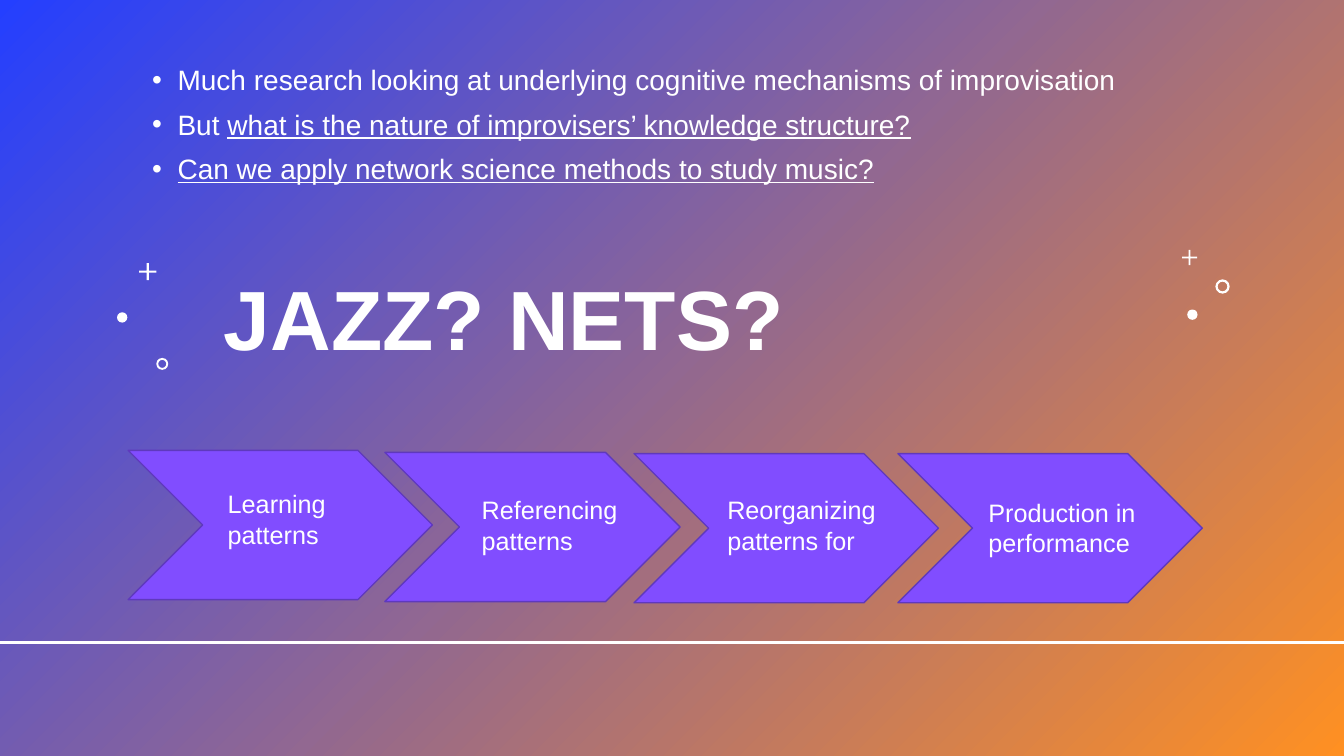
from pptx import Presentation
from pptx.dml.color import RGBColor
from pptx.enum.shapes import MSO_CONNECTOR, MSO_SHAPE
from pptx.enum.text import MSO_ANCHOR, MSO_AUTO_SIZE, PP_ALIGN
from pptx.oxml.ns import qn
from pptx.util import Cm, Pt
from lxml.etree import SubElement

COLORS = {
    "blue": "243FFF",
    "orange": "FF9022",
    "violet": "814DFF",
    "edge": "5F39BD",
    "white": "FFFFFF",
}
WIDE, HIGH = 33.87, 19.05

# Each point is a list of (text, underlined) runs.
POINTS = [
    [("Much research looking at underlying cognitive mechanisms of improvisation", False)],
    [("But ", False),
     ("what is the nature of improvisers’ knowledge structure?", True)],
    [("Can we apply network science methods to study music?", True)],
]

# Chevron left, top, width; label text, left, top, width.
STEPS = [
    (3.23, 11.35, 7.67, "Learning patterns", 5.49, 12.19, 3.66),
    (9.7, 11.4, 7.44, "Referencing patterns", 11.89, 12.34, 4.42),
    (15.98, 11.43, 7.67, "Reorganizing patterns for", 18.08, 12.34, 4.75),
    (22.63, 11.43, 7.67, "Production in performance", 24.66, 12.4, 4.6),
]

# Preset shape, its adjustment, left, top, size.
SPARKS = [
    (MSO_SHAPE.CROSS, 0.44, 3.51, 6.63, 0.43),
    (MSO_SHAPE.CROSS, 0.44, 29.79, 6.3, 0.38),
    (MSO_SHAPE.DONUT, 0.16, 30.63, 7.04, 0.36),
    (MSO_SHAPE.DONUT, 0.16, 3.94, 9.02, 0.3),
    (MSO_SHAPE.OVAL, None, 2.95, 7.87, 0.26),
    (MSO_SHAPE.OVAL, None, 29.92, 7.8, 0.26),
]


def color(name):
    return RGBColor.from_string(COLORS[name])


def place(shape, left, top, width, height):
    shape.left, shape.top = Cm(left), Cm(top)
    shape.width, shape.height = Cm(width), Cm(height)


def style(para, size, bold=False):
    font = para.font
    font.name, font.size, font.bold = "Arial", Pt(size), bold
    font.color.rgb = color("white")


def add_shape(slide, kind, left, top, width, height, fill=None, edge=None):
    shape = slide.shapes.add_shape(kind, Cm(left), Cm(top), Cm(width), Cm(height))
    shape.shadow.inherit = False
    if fill:
        shape.fill.solid()
        shape.fill.fore_color.rgb = color(fill)
    if edge:
        shape.line.color.rgb = color(edge)
        shape.line.width = Pt(1)
    else:
        shape.line.fill.background()
    return shape


def add_back(slide):
    """Cover the slide with a diagonal gradient, behind everything else."""
    back = add_shape(slide, MSO_SHAPE.RECTANGLE, 0, 0, WIDE, HIGH)
    back.fill.gradient()
    back.fill.gradient_angle = 315
    for stop, name, pos in zip(back.fill.gradient_stops, ("blue", "orange"), (0, 1)):
        stop.color.rgb = color(name)
        stop.position = pos
    slide.shapes._spTree.insert(2, back._element)


def fill_title(title):
    place(title, 0, 2.92, 25.4, 6.5)
    frame = title.text_frame
    frame.text = "JAZZ? NETS?"
    frame.auto_size = MSO_AUTO_SIZE.NONE
    frame.vertical_anchor = MSO_ANCHOR.BOTTOM
    para = frame.paragraphs[0]
    para.alignment = PP_ALIGN.CENTER
    para.line_spacing = 0.9
    style(para, 60, bold=True)


def add_bullet(para):
    props = para._p.get_or_add_pPr()
    props.set("marL", str(Cm(0.64)))
    props.set("indent", str(-Cm(0.64)))
    SubElement(props, qn("a:buFont"), typeface="Arial")
    SubElement(props, qn("a:buChar"), char="•")


def fill_body(body):
    place(body, 3.58, 1.55, 27.38, 3.68)
    frame = body.text_frame
    frame.auto_size = MSO_AUTO_SIZE.NONE
    for i, point in enumerate(POINTS):
        para = frame.add_paragraph() if i else frame.paragraphs[0]
        add_bullet(para)
        para.line_spacing = 0.9
        para.space_before = Pt(10 if i else 0)
        style(para, 20)
        for text, under in point:
            run = para.add_run()
            run.text = text
            if under:
                run.font.underline = True


def add_spark(slide, kind, adjust, left, top, size):
    spark = add_shape(slide, kind, left, top, size, size, "white")
    if adjust is not None:
        spark.adjustments[0] = adjust


def add_rule(slide, top):
    rule = slide.shapes.add_connector(
        MSO_CONNECTOR.STRAIGHT, 0, Cm(top), Cm(WIDE), Cm(top))
    rule.line.color.rgb = color("white")
    rule.line.width = Pt(2)
    SubElement(rule._element.spPr, qn("a:effectLst"))


def add_label(slide, text, left, top, width):
    box = slide.shapes.add_textbox(Cm(left), Cm(top), Cm(width), Cm(1.8))
    frame = box.text_frame
    frame.word_wrap = True
    frame.auto_size = MSO_AUTO_SIZE.SHAPE_TO_FIT_TEXT
    frame.text = text
    style(frame.paragraphs[0], 18)


def main():
    deck = Presentation()
    deck.slide_width, deck.slide_height = Cm(WIDE), Cm(HIGH)
    slide = deck.slides.add_slide(deck.slide_layouts[1])
    add_back(slide)
    fill_title(slide.shapes.title)
    fill_body(slide.placeholders[1])
    for spark in SPARKS:
        add_spark(slide, *spark)
    add_rule(slide, 16.2)
    for left, top, width, *_ in STEPS:
        add_shape(slide, MSO_SHAPE.CHEVRON, left, top, width, 3.76, "violet", "edge")
    for *_, text, left, top, width in STEPS:
        add_label(slide, text, left, top, width)
    deck.save("out.pptx")


if __name__ == "__main__":
    main()
